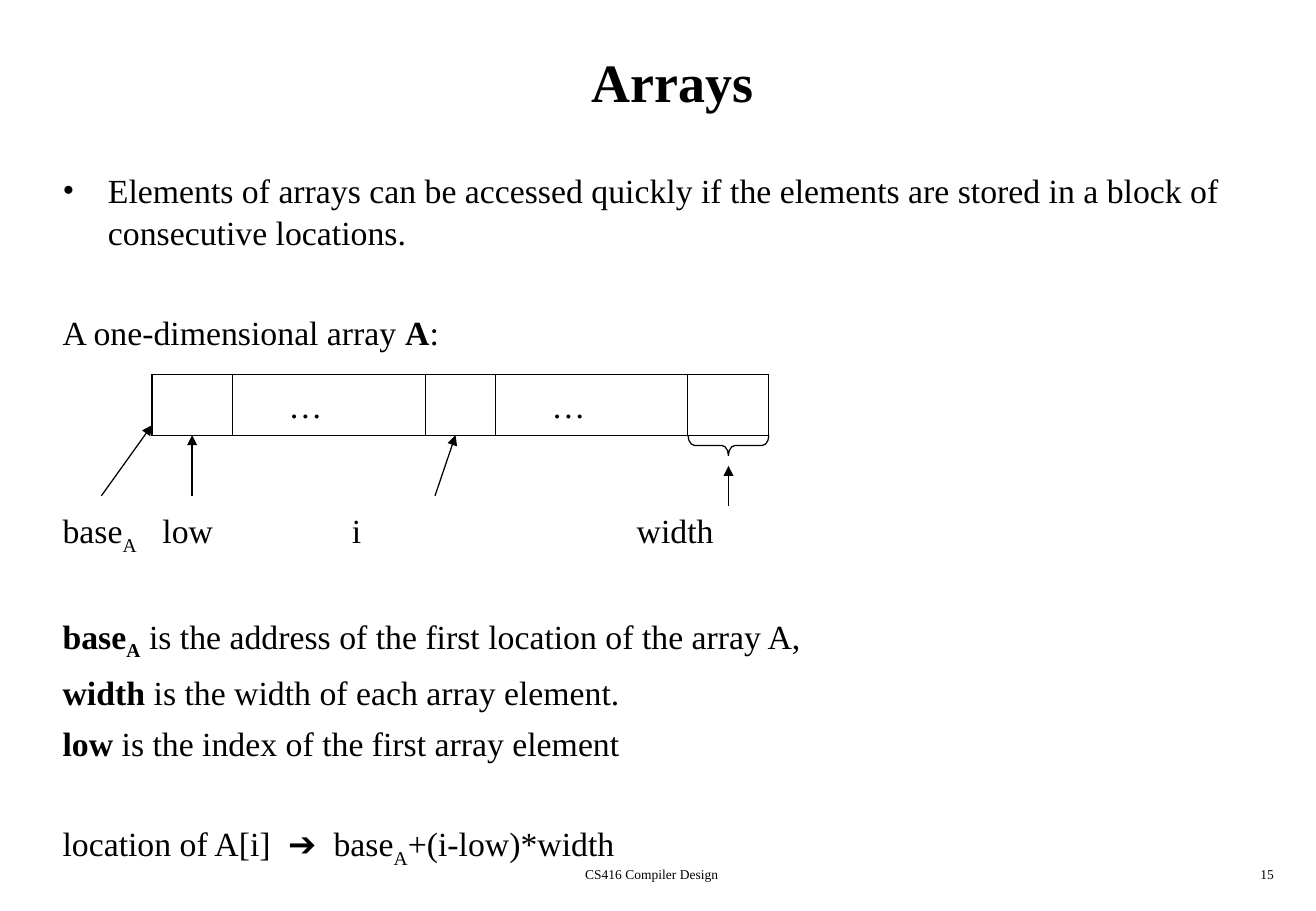
from lxml.etree import SubElement
from pptx import Presentation
from pptx.dml.color import RGBColor
from pptx.enum.shapes import MSO_CONNECTOR, MSO_SHAPE
from pptx.enum.text import MSO_ANCHOR as Anchor, PP_ALIGN as Align
from pptx.oxml.ns import qn
from pptx.util import Cm, Pt

BLACK = RGBColor(0, 0, 0)
SERIF, SANS = "Times New Roman", "Arial"
BODY_SIZE = 20

# Run styles
PLAIN, BOLD, SUB, BOLD_SUB, SYMBOL = "plain", "bold", "sub", "bold sub", "symbol"

# Body paragraphs: space before in points, tab stops in cm, runs
BODY = [
    (0, [], [("Elements of arrays can be accessed quickly if the elements are "
              "stored in a block of consecutive locations.", PLAIN)]),
    (34, [], [("A one-dimensional array ", PLAIN), ("A", BOLD), (":", PLAIN)]),
    (92, [2.09, 6.05, 12.01],
     [("base", PLAIN), ("A", SUB), ("\tlow\ti\twidth", PLAIN)]),
    (34, [], [("base", BOLD), ("A", BOLD_SUB),
              (" is the address of the first location of the array A,", PLAIN)]),
    (5, [], [("width", BOLD), (" is the width of each array element.", PLAIN)]),
    (5, [], [("low", BOLD), (" is the index of the first array element", PLAIN)]),
    (34, [4.72, 5.67],
     [("location of A[i]\t", PLAIN), ("➔", SYMBOL), ("\tbase", PLAIN),
      ("A", SUB), ("+(i-low)*width", PLAIN)]),
]

# Array cells: width in cm, text
ARRAY_CELLS = [(1.69, ""), (4.02, "…"), (1.48, ""), (4.02, "…"), (1.69, "")]

# Arrows from a label to the array: start x, y and end x, y in cm
ARROWS = [
    (2.12, 10.37, 3.18, 8.89),    # base
    (4.02, 10.37, 4.02, 9.1),     # low
    (9.1, 10.37, 9.53, 9.1),      # i
    (15.24, 10.58, 15.24, 9.74),  # width
]


def add_run(paragraph, text, size, style=PLAIN):
    run = paragraph.add_run()
    run.text = text
    run.font.size = Pt(size)
    run.font.name = SANS if style == SYMBOL else SERIF
    run.font.bold = BOLD in style
    run.font.color.rgb = BLACK
    if SUB in style:
        run._r.get_or_add_rPr().set("baseline", "-25000")


def add_text_frame(slide, left, top, width, height, anchor=Anchor.TOP):
    box = slide.shapes.add_textbox(Cm(left), Cm(top), Cm(width), Cm(height))
    frame = box.text_frame
    frame.word_wrap = True
    frame.vertical_anchor = anchor
    return frame


def add_line_of_text(slide, bounds, text, size, align, style=PLAIN,
                     anchor=Anchor.TOP):
    paragraph = add_text_frame(slide, *bounds, anchor).paragraphs[0]
    paragraph.alignment = align
    add_run(paragraph, text, size, style)


def add_bullet(paragraph, indent):
    props = paragraph._p.get_or_add_pPr()
    props.set("marL", str(Cm(indent)))
    props.set("indent", str(-Cm(indent)))
    SubElement(props, qn("a:buFont"), typeface=SERIF)
    SubElement(props, qn("a:buChar"), char="•")


def add_tab_stops(paragraph, stops):
    tabs = SubElement(paragraph._p.get_or_add_pPr(), qn("a:tabLst"))
    for stop in stops:
        SubElement(tabs, qn("a:tab"), pos=str(Cm(stop)), algn="l")


def add_body(slide):
    frame = add_text_frame(slide, 1.06, 3.38, 24.97, 14.6)
    for index, (space, stops, runs) in enumerate(BODY):
        paragraph = frame.add_paragraph() if index else frame.paragraphs[0]
        if index == 0:
            add_bullet(paragraph, 0.95)
        if stops:
            add_tab_stops(paragraph, stops)
        paragraph.line_spacing = 1.05
        paragraph.space_before = Pt(space)
        for text, style in runs:
            add_run(paragraph, text, BODY_SIZE, style)


def set_border(cell, side, width):
    border = SubElement(cell._tc.get_or_add_tcPr(), qn(f"a:ln{side}"),
                        w=str(Pt(width)))
    fill = SubElement(border, qn("a:solidFill"))
    SubElement(fill, qn("a:srgbClr"), val=str(BLACK))


def add_array(slide):
    total = sum(width for width, _ in ARRAY_CELLS)
    table = slide.shapes.add_table(1, len(ARRAY_CELLS), Cm(3.18), Cm(7.83),
                                   Cm(total), Cm(1.22)).table
    table.first_row = table.horz_banding = False
    last = len(ARRAY_CELLS) - 1
    for column, (width, text) in enumerate(ARRAY_CELLS):
        table.columns[column].width = Cm(width)
        cell = table.cell(0, column)
        set_border(cell, "L", 1.08 if column == 0 else 0.45)
        set_border(cell, "R", 1.08 if column == last else 0.45)
        set_border(cell, "T", 1.08)
        set_border(cell, "B", 1.08)
        cell.fill.background()
        if text:
            cell.margin_left, cell.margin_top = Cm(1.17), Cm(0.3)
            add_run(cell.text_frame.paragraphs[0], text, BODY_SIZE)


def add_arrow(slide, start_x, start_y, end_x, end_y):
    arrow = slide.shapes.add_connector(MSO_CONNECTOR.STRAIGHT, Cm(start_x),
                                       Cm(start_y), Cm(end_x), Cm(end_y))
    arrow.line.color.rgb = BLACK
    arrow.line.width = Pt(0.75)
    SubElement(arrow.line._get_or_add_ln(), qn("a:tailEnd"), type="triangle")
    SubElement(arrow._element.spPr, qn("a:effectLst"))


def add_width_brace(slide):
    brace = slide.shapes.add_shape(MSO_SHAPE.LEFT_BRACE, Cm(15.03), Cm(8.47),
                                   Cm(0.42), Cm(1.69))
    brace.rotation = 270
    brace.adjustments[0] = 0.33
    brace.shadow.inherit = False
    brace.fill.background()
    brace.line.color.rgb = BLACK
    brace.line.width = Pt(0.75)


def main():
    deck = Presentation()
    deck.slide_width, deck.slide_height = Cm(27.53), Cm(19.05)
    slide = deck.slides.add_slide(deck.slide_layouts[6])

    # Title and body
    add_line_of_text(slide, (1.06, 0.43, 26.04, 2.54), "Arrays", 32,
                     Align.CENTER, BOLD, Anchor.MIDDLE)
    add_body(slide)

    # Array diagram
    add_array(slide)
    add_width_brace(slide)
    for arrow in ARROWS:
        add_arrow(slide, *arrow)

    # Footer
    add_line_of_text(slide, (8.48, 17.98, 10.31, 0.64), "CS416 Compiler Design",
                     8, Align.CENTER)
    add_line_of_text(slide, (21.16, 17.98, 5.74, 0.64), "15", 8, Align.RIGHT)

    deck.save("out.pptx")


if __name__ == "__main__":
    main()
